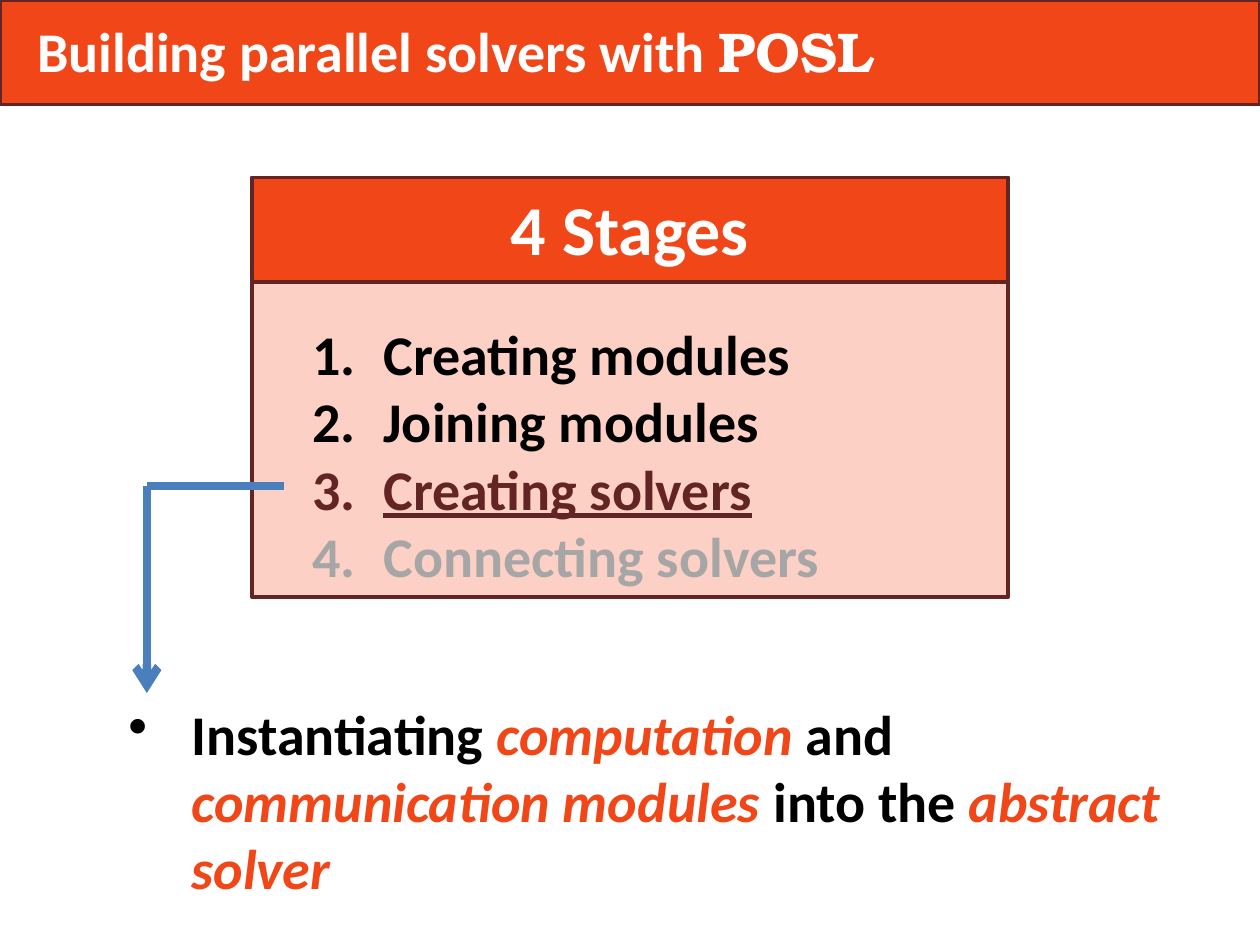
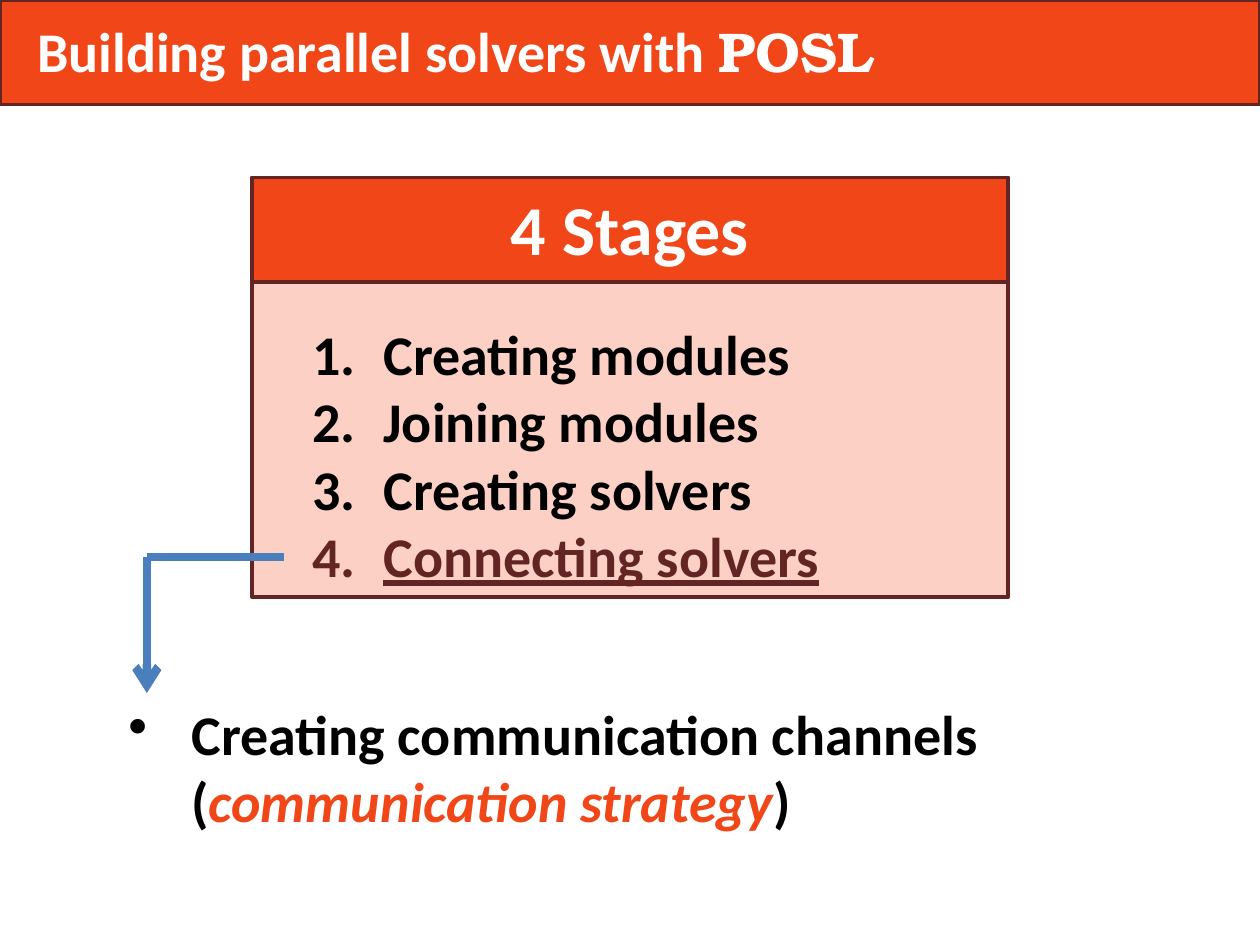
from lxml import etree
from pptx import Presentation
from pptx.dml.color import RGBColor
from pptx.enum.shapes import MSO_CONNECTOR, MSO_SHAPE
from pptx.enum.text import MSO_ANCHOR, MSO_AUTO_SIZE, PP_ALIGN
from pptx.oxml.ns import qn
from pptx.util import Cm, Pt

RECTANGLE = MSO_SHAPE.RECTANGLE
STRAIGHT = MSO_CONNECTOR.STRAIGHT
MIDDLE = MSO_ANCHOR.MIDDLE
NO_AUTOFIT = MSO_AUTO_SIZE.NONE
LEFT, CENTER = PP_ALIGN.LEFT, PP_ALIGN.CENTER

ORANGE = RGBColor(0xF1, 0x46, 0x18)
PINK = RGBColor(0xFC, 0xD0, 0xC4)
MAROON = RGBColor(0x63, 0x25, 0x23)
BLUE = RGBColor(0x4B, 0x7E, 0xBC)
GREY = RGBColor(0xA6, 0xA6, 0xA6)
BLACK = RGBColor(0, 0, 0)
WHITE = RGBColor(0xFF, 0xFF, 0xFF)

BODY_FONT, NAME_FONT = "Calibri", "TeX Gyre Bonum"
TITLE_ONLY = 5
SLIDE_WIDTH, SLIDE_HEIGHT = Cm(25.4), Cm(19.05)
BAND_HEIGHT = Cm(2.11)
PANEL_LEFT, PANEL_TOP = Cm(5.08), Cm(3.58)
PANEL_WIDTH, PANEL_HEIGHT = Cm(15.24), Cm(8.46)
ARROW_X, ARROW_RIGHT, ARROW_BOTTOM = Cm(2.96), Cm(5.72), Cm(13.97)

STAGES = ["Creating modules", "Joining modules", "Creating solvers", "Connecting solvers"]


def add_run(paragraph, text, color=BLACK, size=32, font=BODY_FONT, italic=False, underline=False):
    run = paragraph.add_run()
    run.text = text
    run.font.name = font
    run.font.size = Pt(size)
    run.font.bold = True
    run.font.italic = italic
    run.font.underline = underline
    run.font.color.rgb = color


def set_bullet(paragraph, indent, tag, **attributes):
    """Give the paragraph a hanging indent and a bullet element such as a:buChar."""
    properties = paragraph._p.get_or_add_pPr()
    properties.set("marL", str(indent))
    properties.set("indent", str(-indent))
    etree.SubElement(properties, qn(tag), attributes)


def outline(shape, fill):
    shape.fill.solid()
    shape.fill.fore_color.rgb = fill
    shape.line.color.rgb = MAROON
    shape.line.width = Pt(2)


def add_rectangle(slide, left, top, width, height, fill):
    shape = slide.shapes.add_shape(RECTANGLE, left, top, width, height)
    shape.shadow.inherit = False
    outline(shape, fill)
    return shape


def add_text_frame(slide, left, top, width, height):
    frame = slide.shapes.add_textbox(left, top, width, height).text_frame
    frame.word_wrap = True
    return frame


def add_line(slide, start, end, arrow=False):
    connector = slide.shapes.add_connector(STRAIGHT, *start, *end)
    connector.line.color.rgb = BLUE
    connector.line.width = Pt(4.75)
    if arrow:
        etree.SubElement(connector.line._get_or_add_ln(), qn("a:tailEnd"), type="arrow")
    etree.SubElement(connector._element.spPr, qn("a:effectLst"))


def format_title(slide):
    """Turn the title placeholder into the full-width title band."""
    title = slide.shapes.title
    title.left, title.top, title.width, title.height = 0, 0, SLIDE_WIDTH, BAND_HEIGHT
    outline(title, ORANGE)
    frame = title.text_frame
    frame.auto_size = NO_AUTOFIT
    frame.vertical_anchor = MIDDLE
    frame.margin_left = Cm(0.75)
    frame.margin_top, frame.margin_bottom = 0, Cm(0.08)
    paragraph = frame.paragraphs[0]
    paragraph.alignment = LEFT
    add_run(paragraph, "Building parallel solvers with ", WHITE)
    add_run(paragraph, "POSL", WHITE, font=NAME_FONT)


def add_stage_panel(slide, current):
    """Draw the list of stages: the current one underlined, later ones grey."""
    add_rectangle(slide, PANEL_LEFT, PANEL_TOP, PANEL_WIDTH, PANEL_HEIGHT, PINK)
    header = add_rectangle(slide, PANEL_LEFT, PANEL_TOP, PANEL_WIDTH, BAND_HEIGHT, ORANGE)
    header.text_frame.vertical_anchor = MIDDLE
    header.text_frame.margin_top, header.text_frame.margin_bottom = 0, Cm(0.1)
    heading = header.text_frame.paragraphs[0]
    heading.alignment = CENTER
    add_run(heading, "4 Stages", WHITE, size=40)

    frame = add_text_frame(slide, Cm(6.05), Cm(6.32), Cm(13.34), Cm(5.74))
    for number, stage in enumerate(STAGES, start=1):
        paragraph = frame.paragraphs[0] if number == 1 else frame.add_paragraph()
        set_bullet(paragraph, Cm(1.43), "a:buAutoNum", type="arabicPeriod")
        color = BLACK if number < current else MAROON if number == current else GREY
        add_run(paragraph, stage, color, underline=number == current)


def add_explanation(slide, height, lines):
    """Write one bullet; each line is a list of (text, emphasised) pairs."""
    frame = add_text_frame(slide, Cm(2.34), ARROW_BOTTOM, Cm(22.02), height)
    paragraph = frame.paragraphs[0]
    set_bullet(paragraph, Cm(1.27), "a:buChar", char="•")
    for index, line in enumerate(lines):
        if index:
            paragraph.add_line_break()
        for text, emphasised in line:
            add_run(paragraph, text, ORANGE if emphasised else BLACK, italic=emphasised)


def add_elbow_arrow(slide, top):
    add_line(slide, (ARROW_X, top), (ARROW_X, ARROW_BOTTOM), arrow=True)
    add_line(slide, (ARROW_X, top), (ARROW_RIGHT, top))


def add_stage_slide(presentation, current, arrow_top, text_height, lines):
    slide = presentation.slides.add_slide(presentation.slide_layouts[TITLE_ONLY])
    format_title(slide)
    add_stage_panel(slide, current)
    add_explanation(slide, text_height, lines)
    add_elbow_arrow(slide, arrow_top)


def main():
    presentation = Presentation()
    presentation.slide_width, presentation.slide_height = SLIDE_WIDTH, SLIDE_HEIGHT
    add_stage_slide(presentation, 3, Cm(9.8), Cm(4.37), [[
        ("Instantiating ", False), ("computation ", True), ("and ", False),
        ("communication modules", True), (" into the ", False), ("abstract solver", True),
    ]])
    add_stage_slide(presentation, 4, Cm(11.23), Cm(3), [
        [("Creating communication channels", False)],
        [("(", False), ("communication strategy", True), (")", False)],
    ])
    presentation.save("out.pptx")


if __name__ == "__main__":
    main()
